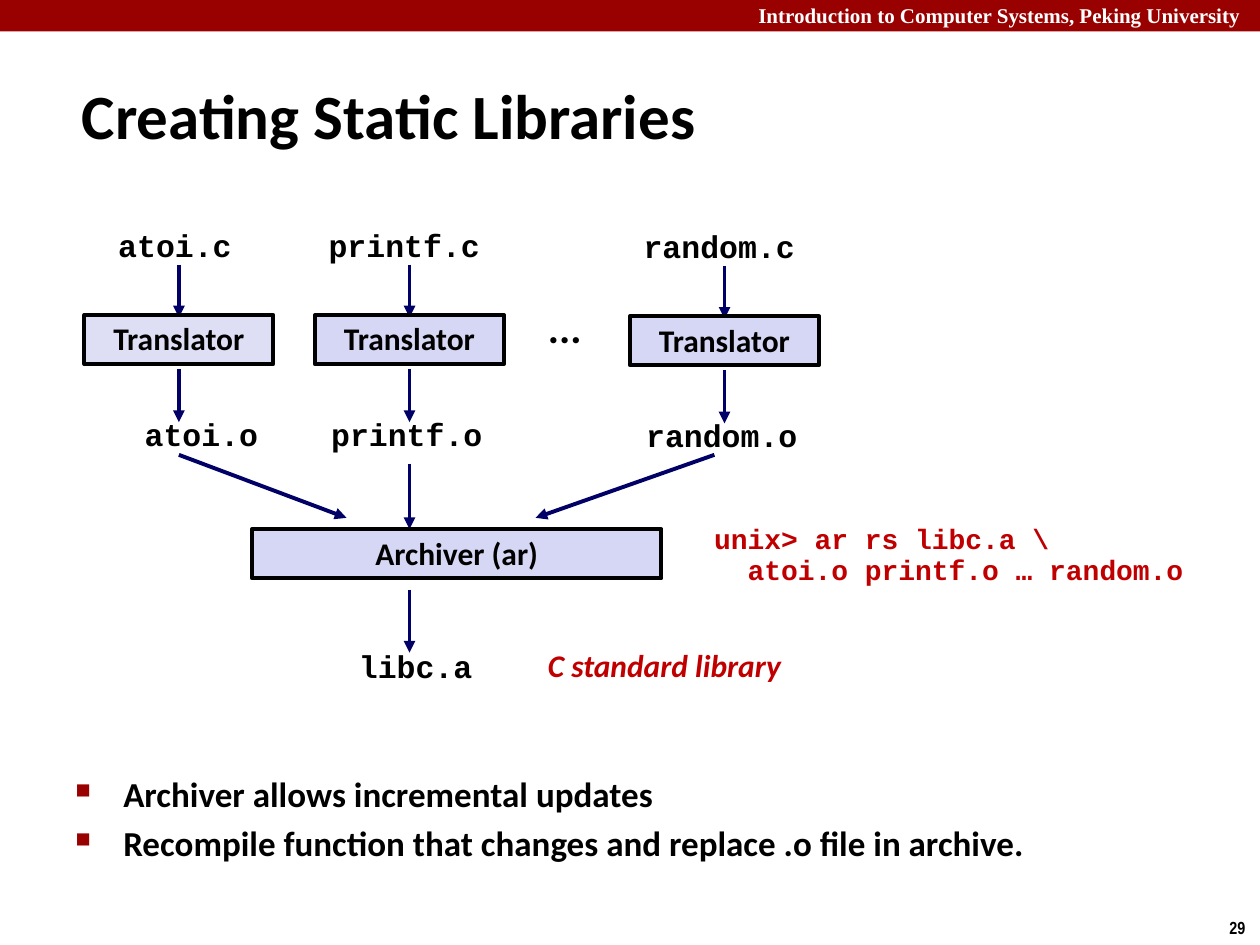
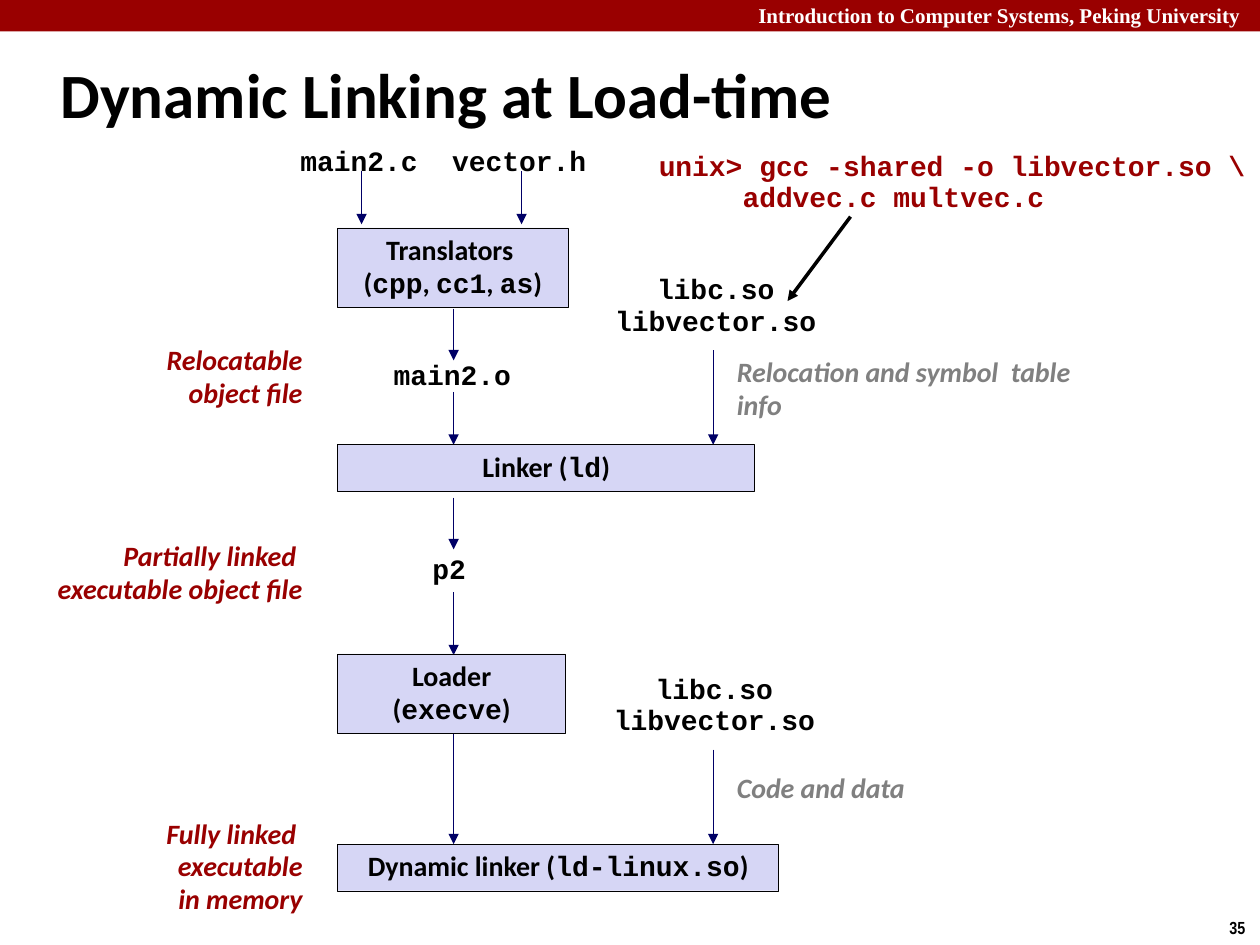
from dataclasses import dataclass
from typing import NamedTuple

from lxml import etree
from pptx import Presentation
from pptx.dml.color import RGBColor
from pptx.enum import shapes as shp, text as txt
from pptx.oxml import ns
from pptx.util import Inches, Pt

HUES = {
    "band": "990000", "red": "C00000", "navy": "000066", "black": "000000",
    "white": "FFFFFF", "grey": "808080", "box": "D6D6F5", "pale": "DEDFF5",
}
SANS, MONO = "Calibri", "Courier New"
LEFT, MID, RIGHT = txt.PP_ALIGN.LEFT, txt.PP_ALIGN.CENTER, txt.PP_ALIGN.RIGHT


@dataclass
class Label:
    """Text with one paragraph a line; `code` between backticks is monospaced."""
    left: float
    top: float
    width: float
    height: float
    words: str
    size: float = 16
    font: str = SANS
    hue: str = "black"
    align: txt.PP_ALIGN = LEFT
    slant: bool = False
    wrap: bool = True
    gap: float = 0.98
    fill: str = ""
    edge: float = 0
    bullet: bool = False


class Arrow(NamedTuple):
    x1: float
    y1: float
    x2: float
    y2: float
    width: float
    hue: str = "navy"


class Column(NamedTuple):
    name: str
    mid: float
    src: float
    obj: float
    drop: float
    fill: str


def color(name: str) -> RGBColor:
    return RGBColor.from_string(HUES[name])


def add_el(node, tag: str, **attrs: str):
    return etree.SubElement(node, ns.qn(tag), attrs)


def add_bullet(para) -> None:
    props = para._p.get_or_add_pPr()
    props.set("marL", str(Inches(0.38)))
    props.set("indent", str(-Inches(0.38)))
    add_el(add_el(props, "a:buClr"), "a:srgbClr", val=HUES["band"])
    add_el(props, "a:buSzPct", val="60000")
    add_el(props, "a:buChar", char="■")


def add_run(para, words: str, size: float, font: str, hue: str,
            slant: bool = False) -> None:
    run = para.add_run()
    run.text = words
    run.font.size, run.font.name = Pt(size), font
    run.font.bold, run.font.italic = True, slant
    run.font.color.rgb = color(hue)


def draw_label(slide, item: Label) -> None:
    place = [Inches(v) for v in (item.left, item.top, item.width, item.height)]
    if item.fill:
        shape = slide.shapes.add_shape(shp.MSO_SHAPE.RECTANGLE, *place)
        shape.shadow.inherit = False
        shape.fill.solid()
        shape.fill.fore_color.rgb = color(item.fill)
        if item.edge:
            shape.line.color.rgb = color("black")
            shape.line.width = Pt(item.edge)
        else:
            shape.line.fill.background()
    else:
        shape = slide.shapes.add_textbox(*place)
    frame = shape.text_frame
    frame.word_wrap = item.wrap
    frame.vertical_anchor = txt.MSO_ANCHOR.TOP
    for i, line in enumerate(item.words.split("\n") if item.words else []):
        para = frame.add_paragraph() if i else frame.paragraphs[0]
        if item.bullet:
            add_bullet(para)
            if i:
                para.space_before = Pt(item.size * 0.2)
        para.alignment, para.line_spacing = item.align, item.gap
        for j, part in enumerate(line.split("`")):
            if part:
                add_run(para, part, item.size, MONO if j % 2 else item.font,
                        item.hue, item.slant)


def draw_arrow(slide, item: Arrow) -> None:
    ends = [Inches(v) for v in item[:4]]
    link = slide.shapes.add_connector(shp.MSO_CONNECTOR.STRAIGHT, *ends)
    link.line.color.rgb = color(item.hue)
    link.line.width = Pt(item.width)
    add_el(link.line._get_or_add_ln(), "a:tailEnd", type="triangle")
    add_el(link._element.spPr, "a:effectLst")


def code(left: float, top: float, width: float, words: str, size: float = 16,
         hue: str = "black", align: txt.PP_ALIGN = LEFT) -> Label:
    height = 0.39 if size == 18 else 0.36 + 0.25 * words.count("\n")
    return Label(left, top, width, height, words, size, MONO, hue, align,
                 wrap=False, gap=0.94)


def new_slide(deck, title: str, left: float, top: float, number: str):
    """Title, top band and page number, common to every slide."""
    slide = deck.slides.add_slide(deck.slide_layouts[5])
    head = slide.shapes.title
    head.left, head.top = Inches(left), Inches(top)
    head.width, head.height = Inches(9.53), Inches(0.86)
    frame = head.text_frame
    frame.vertical_anchor = txt.MSO_ANCHOR.MIDDLE
    frame.auto_size = txt.MSO_AUTO_SIZE.NONE
    frame.paragraphs[0].alignment = LEFT
    add_run(frame.paragraphs[0], title, 36, SANS, "black")
    draw_label(slide, Label(0, 0, 10, 0.25, "", fill="band"))
    draw_label(slide, Label(
        5.92, -0.03, 4.08, 0.3,
        "Introduction to Computer Systems, Peking University",
        12, "Times New Roman", "white", wrap=False, gap=1))
    draw_label(slide, Label(9.66, 7.23, 0.34, 0.27, number, 10,
                            "Arial Narrow", wrap=False, gap=1))
    return slide


def draw_all(slide, items: list) -> None:
    for item in items:
        draw = draw_arrow if isinstance(item, Arrow) else draw_label
        draw(slide, item)


def static_slide(deck) -> None:
    slide = new_slide(deck, "Creating Static Libraries", 0.55, 0.48, "29")

    def step(left: float, top: float, width: float, words: str,
             fill: str = "box") -> Label:
        return Label(left, top, width, 0.39, words, 18, align=MID,
                     fill=fill, edge=2.25)

    # One translator column for each source file
    columns = [
        Column("atoi", 1.42, 0.84, 1.05, 0, "pale"),
        Column("printf", 3.25, 2.51, 2.53, 0, "box"),
        Column("random", 5.75, 5.01, 5.03, 0.01, "box"),
    ]
    for col in columns:
        wide = 0.15 * (len(col.name) + 2) + 0.2
        y = col.drop
        draw_all(slide, [
            Arrow(col.mid, 2.1 + y, col.mid, 2.52 + y, 2.25),
            step(col.mid - 0.75, 2.5 + y, 1.5, "Translator", col.fill),
            code(col.src, 1.77 + y, wide, f"{col.name}.c", 18),
            code(col.obj, 3.27 + y, wide, f"{col.name}.o", 18),
            Arrow(col.mid, 2.93 + y, col.mid, 3.35 + y, 2.25),
        ])

    # Archiver, its output and remarks
    draw_all(slide, [
        Label(4.25, 2.36, 0.48, 0.5, "...", 24, wrap=False),
        Arrow(1.42, 3.61, 2.75, 4.11, 2.25),
        Arrow(3.25, 3.68, 3.25, 4.2, 2.25),
        Arrow(5.67, 3.61, 4.25, 4.11, 2.25),
        step(2, 4.2, 3.25, "Archiver (ar)"),
        Arrow(3.25, 4.68, 3.25, 5.18, 2.25),
        code(2.75, 5.11, 1.1, "libc.a", 18),
        code(5.57, 4.11, 3.98,
             "unix> ar rs libc.a \\\n  atoi.o printf.o … random.o", hue="red"),
        Label(4.25, 5.09, 3.25, 0.4, "C standard library", 18, hue="red",
              slant=True),
        Label(0.5, 6.08, 9.09, 1.17,
              "Archiver allows incremental updates\n"
              "Recompile function that changes and replace .o file in archive.",
              20, bullet=True, gap=1),
    ])


def dynamic_slide(deck) -> None:
    slide = new_slide(deck, "Dynamic Linking at Load-time", 0.38, 0.31, "35")

    # Tool boxes share a left edge
    tools = [
        (1.81, 1.83, 0.63, "Translators \n(`cpp`, `cc1`, `as`)"),
        (3.53, 3.31, 0.37, "Linker (`ld`)"),
        (5.19, 1.81, 0.63, "Loader (`execve`)"),
        (6.7, 3.5, 0.37, "Dynamic linker (`ld-linux.so`)"),
    ]

    # Vertical arrows: x, start, end
    falls = [
        (2.87, 1.36, 1.78), (4.14, 1.36, 1.78), (3.6, 2.45, 2.86),
        (3.6, 3.11, 3.53), (3.6, 3.95, 4.36), (3.6, 4.7, 5.2),
        (3.6, 5.61, 6.7), (5.66, 2.78, 3.53), (5.66, 5.95, 6.7),
    ]
    draw_all(slide, [Arrow(x, y1, x, y2, 0.25) for x, y1, y2 in falls])
    draw_all(slide, [Label(2.68, top, wide, high, words, align=MID,
                           fill="box", edge=0.25)
                     for top, wide, high, words in tools])

    # Files
    libs = "libc.so\nlibvector.so"
    files = [
        (2.28, 1.11, 1.14, "main2.c"), (3.48, 1.11, 1.28, "vector.h"),
        (3.02, 2.81, 1.14, "main2.o"), (3.33, 4.35, 0.47, "p2"),
        (4.77, 2.13, 1.82, libs), (4.76, 5.3, 1.82, libs),
    ]
    draw_all(slide, [code(*file, align=MID) for file in files])

    # Stage names end at 2.5, remarks start at 5.75
    stages = [
        (2.68, 1.5, 0.63, "Relocatable\nobject file"),
        (4.24, 2.75, 0.63, "Partially linked \nexecutable object file"),
        (6.44, 1.92, 0.89, "Fully linked \nexecutable\nin memory"),
    ]
    draw_all(slide, [Label(2.5 - wide, top, wide, high, words, hue="band",
                           align=RIGHT, slant=True)
                     for top, wide, high, words in stages])
    remarks = [
        (2.78, 2.85, 0.63, "Relocation and symbol  table info"),
        (6.08, 1.94, 0.37, "Code and data"),
    ]
    draw_all(slide, [Label(5.75, top, wide, high, words, hue="grey", slant=True)
                     for top, wide, high, words in remarks])

    # Command that makes the shared library
    draw_all(slide, [
        code(5.13, 1.15, 4.92, "unix> gcc -shared -o libvector.so \\\n"
             "     addvec.c multvec.c", hue="band"),
        Arrow(6.75, 1.72, 6.25, 2.39, 2, "black"),
    ])


def main() -> None:
    deck = Presentation()
    deck.slide_width, deck.slide_height = Inches(10), Inches(7.5)
    static_slide(deck)
    dynamic_slide(deck)
    deck.save("out.pptx")


if __name__ == "__main__":
    main()
